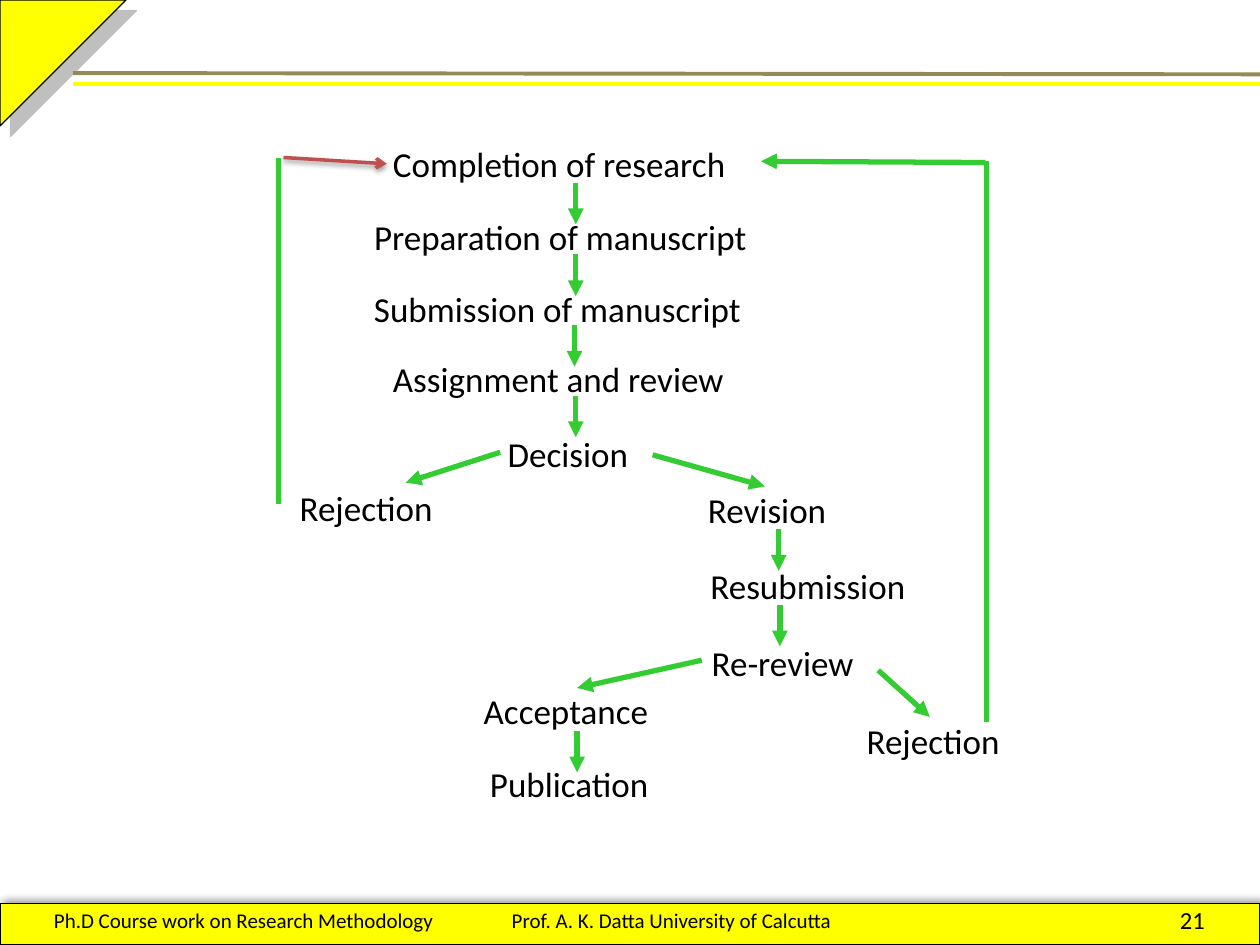
from lxml import etree
from pptx import Presentation
from pptx.dml.color import RGBColor
from pptx.enum import shapes, text
from pptx.oxml import ns
from pptx.util import Inches, Pt

GREEN = "33CC33"
LEFT, MID, RIGHT = text.PP_ALIGN.LEFT, text.PP_ALIGN.CENTER, text.PP_ALIGN.RIGHT

deck = Presentation()
deck.slide_width, deck.slide_height = Inches(10), Inches(7.5)
slide = deck.slides.add_slide(deck.slide_layouts[6])


def link(x1, y1, x2, y2, color=GREEN, width=3, head=None, shade=None):
    """Draw a straight line, with an arrowhead and a shadow where given."""
    line = slide.shapes.add_connector(
        shapes.MSO_CONNECTOR.STRAIGHT, *map(Inches, (x1, y1, x2, y2)))
    line.line.width = Pt(width)
    line.line.color.rgb = RGBColor.from_string(color)
    if head:
        tail = etree.SubElement(line.line._get_or_add_ln(), ns.qn("a:tailEnd"))
        tail.set("type", head)
    effects = etree.SubElement(line._element.spPr, ns.qn("a:effectLst"))
    if shade:
        cast(effects, *shade)


def cast(effects, color, alpha, blur, dist, angle):
    """Add an outer shadow to an effect list."""
    shadow = etree.SubElement(effects, ns.qn("a:outerShdw"))
    values = {"blurRad": Pt(blur), "dist": Pt(dist), "dir": angle * 60000,
              "algn": "ctr", "rotWithShape": 0}
    for key, value in values.items():
        shadow.set(key, str(value))
    tint = etree.SubElement(shadow, ns.qn("a:srgbClr"), val=color)
    etree.SubElement(tint, ns.qn("a:alpha"), val=str(alpha * 1000))


# Yellow corner and footer bar
kinds = shapes.MSO_SHAPE
for kind, place, turn, shade in (
    (kinds.RIGHT_TRIANGLE, (0, 0, 1, 1), 90, ("808080", 50, 0, 8.5, 45)),
    (kinds.RECTANGLE, (0, 7.17, 10, 0.33), 0, ("000000", 40, 4, 3, 315)),
):
    block = slide.shapes.add_shape(kind, *map(Inches, place))
    block.rotation = turn
    block.fill.solid()
    block.fill.fore_color.rgb = RGBColor.from_string("FFFF00")
    block.line.color.rgb = RGBColor.from_string("000000")
    block.line.width = Pt(0.75)
    block.shadow.inherit = False
    cast(block._element.spPr.find(ns.qn("a:effectLst")), *shade)

# Header rules
link(0.58, 0.58, 10, 0.59, "948A54", 2.25)
link(0.58, 0.67, 10, 0.67, "FFFF00", 2.25)

# Steps of the flow, then the footer: words, left, top, width
steps = [
    ("Completion of research", 3.02, 1.08, 2.87),
    ("Preparation of manuscript", 2.87, 1.66, 3.19),
    ("Submission of manuscript", 2.87, 2.23, 3.14),
    ("Assignment and review", 3.02, 2.79, 2.85),
    ("Decision", 3.93, 3.38, 1.17),
    ("Rejection", 2.28, 3.81, 1.27),
    ("Revision", 5.52, 3.83, 1.15),
    ("Resubmission", 5.54, 4.43, 1.76),
    ("Re-review", 5.55, 5.04, 1.34),
    ("Acceptance", 3.74, 5.42, 1.52),
    ("Publication", 3.79, 6, 1.48),
    ("Rejection", 6.78, 5.66, 1.27),
]
footer = [
    ("Ph.D Course work on Research Methodology", 0.33, 3.42, 12, LEFT),
    ("Prof. A. K. Datta University of Calcutta", 3.58, 3.5, 12, MID),
    ("21", 7.33, 2.33, 14, RIGHT),
]
top, middle = text.MSO_ANCHOR.TOP, text.MSO_ANCHOR.MIDDLE
labels = [(words, (x, y, w, 0.44), 20, LEFT, top, False)
          for words, x, y, w in steps]
labels += [(words, (x, 7.1, w, 0.4), size, align, middle, True)
           for words, x, w, size, align in footer]
for words, place, size, align, anchor, wrap in labels:
    frame = slide.shapes.add_textbox(*map(Inches, place)).text_frame
    frame.word_wrap = wrap
    frame.vertical_anchor = anchor
    para = frame.paragraphs[0]
    para.text = words
    para.alignment = align
    for key, value in {"name": "Calibri", "size": Pt(size)}.items():
        setattr(para.font, key, value)
    para.font.color.rgb = RGBColor.from_string("000000")

# Short arrows straight down
for x, y in ((4.57, 1.45), (4.57, 2.02), (4.56, 2.58), (4.57, 3.14),
             (6.18, 4.2), (6.19, 4.8), (4.58, 5.8)):
    link(x, y, x, y + 0.33, head="triangle")

# Branches, and the way back from the second rejection
for ends in ((3.97, 3.59, 3.22, 3.83), (5.18, 3.61, 6.07, 3.86),
             (5.57, 5.24, 4.58, 5.46), (6.97, 5.32, 7.38, 5.69),
             (7.82, 1.29, 6.04, 1.28)):
    link(*ends, head="triangle")

# Side rails and the way back from the first rejection
link(2.21, 1.25, 2.21, 4)
link(7.83, 1.28, 7.83, 5.73)
link(2.25, 1.25, 3.07, 1.3, "C0504D", 2, "arrow", ("000000", 38, 3.1, 1.6, 90))

deck.save("out.pptx")
